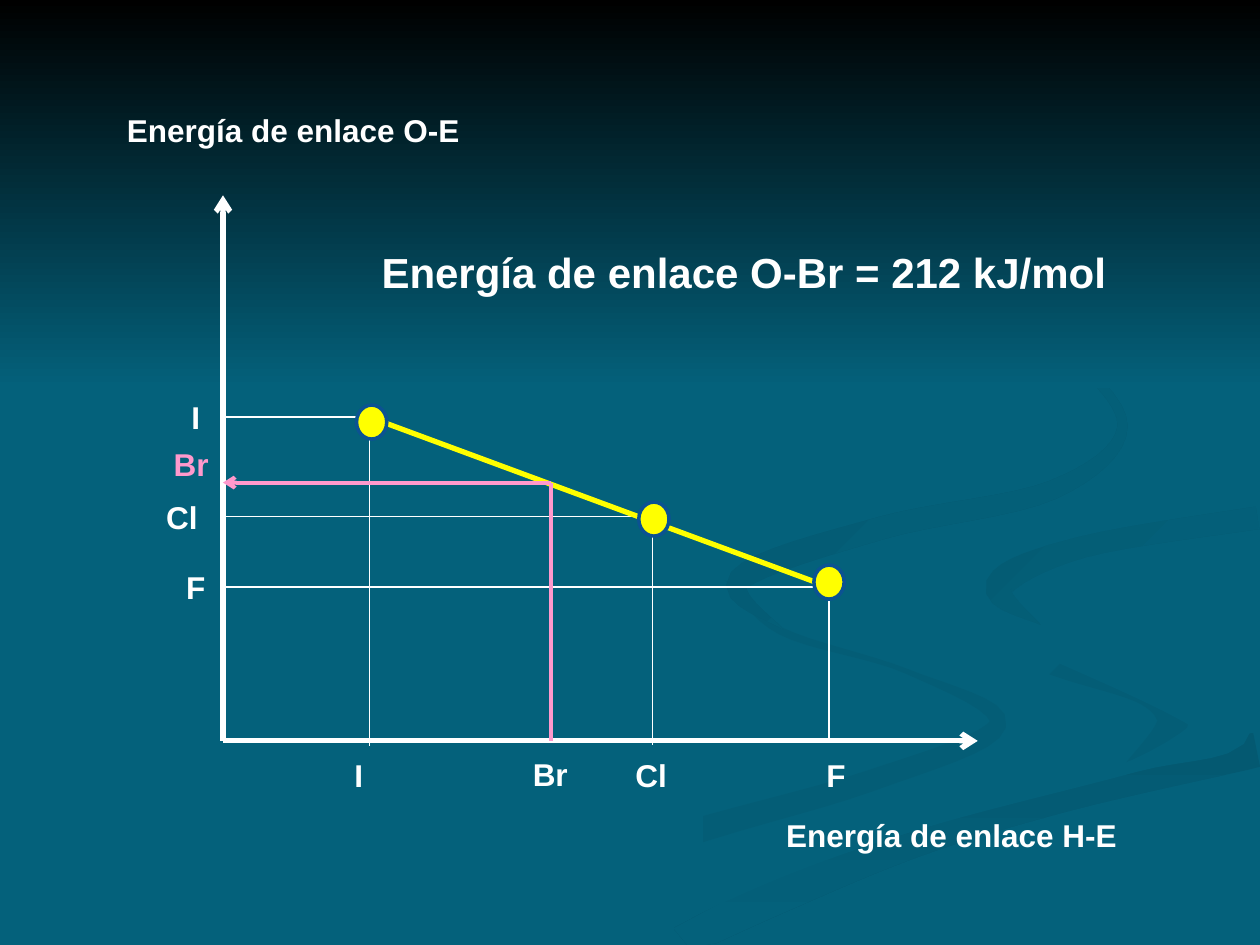
from dataclasses import dataclass
from math import hypot

from lxml.etree import SubElement
from pptx import Presentation
from pptx.dml.color import RGBColor
from pptx.enum.shapes import MSO_CONNECTOR, MSO_SHAPE
from pptx.enum.text import MSO_AUTO_SIZE
from pptx.oxml.ns import qn
from pptx.util import Inches, Pt


@dataclass(frozen=True)
class Theme:
    """Colours, font and type sizes of the slide."""
    sea: str = "04617B"
    night: str = "000000"
    white: str = "FFFFFF"
    yellow: str = "FFFF00"
    pink: str = "FF99CC"
    rim: str = "0B5292"
    font: str = "Arial"
    label: int = 18
    result: int = 24


@dataclass(frozen=True)
class Ribbon:
    """A curved band: (x, y, thickness) knots along its middle, and its gradient."""
    knots: tuple
    start: str
    end: str
    angle: int = 45


@dataclass(frozen=True)
class Halogen:
    """A known element: its point, marker centre, guide foot and label places."""
    symbol: str
    point: tuple
    marker: tuple
    foot: float
    side_left: float
    width: float


THEME = Theme()
SLIDE_WIDTH, SLIDE_HEIGHT = 10, 7.5
SHADE_HEIGHT = 3.08
ORIGIN_X, ORIGIN_Y = 1.77, 5.88
ORIGIN = (ORIGIN_X, ORIGIN_Y)
AXIS_LABEL_TOP = 5.95
BROMINE = (4.37, 3.83)
CURVE_STEPS = 8

HALOGENS = [
    Halogen("I", (2.93, 3.31), (2.95, 3.35), 5.92, 1.42, 0.43),
    Halogen("Cl", (5.18, 4.1), (5.19, 4.12), 5.91, 1.22, 0.47),
    Halogen("F", (6.58, 4.66), (6.58, 4.62), ORIGIN_Y, 1.38, 0.24),
]

RIBBONS = {
    "lower swirl": Ribbon(
        ((3.25, 7.5, 0.4), (5.15, 6.72, 0.22), (6.9, 6.2, 0.17), (7.92, 5.75, 0.14),
         (7.2, 5.33, 0.04), (6.2, 5.01, 0.06), (5.75, 4.6, 0)),
        THEME.sea, "045D76", 0),
    "right swirl": Ribbon(
        ((7.24, 4.64, 0), (7.45, 4.95, 0.1), (8.35, 5.28, 0.15), (9.1, 5.5, 0.2),
         (9.3, 5.75, 0.25), (8.94, 6.05, 0)),
        THEME.sea, "045D76"),
    "corner band": Ribbon(
        ((9.98, 5.95, 0.28), (8.5, 6.33, 0.2), (7.3, 6.69, 0.2), (6.2, 7.1, 0.28),
         (5.4, 7.48, 0.25)),
        "045971", THEME.sea, 90),
    "middle band": Ribbon(
        ((9.99, 3.94, 0.15), (8.6, 4.17, 0.17), (7.54, 4.62, 0.55), (8.3, 5.08, 0.25),
         (9.71, 5.65, 0.5), (9, 6.08, 0.1), (7.4, 6.49, 0.12), (6.2, 6.9, 0.12),
         (4.9, 7.49, 0.12)),
        THEME.sea, THEME.sea),
    "right hook": Ribbon(
        ((9.98, 4.11, 0.18), (8.6, 4.34, 0.17), (7.93, 4.65, 0.22), (8.26, 4.96, 0)),
        "045C74", THEME.sea),
    "upper swirl": Ribbon(
        ((7.63, 2.33, 0), (8.4, 2.75, 0.06), (8.91, 3.38, 0.08), (8.35, 3.89, 0.15),
         (7, 4.19, 0.18), (5.87, 4.6, 0.18), (6.22, 5, 0)),
        "045A72", THEME.sea),
}


def rgb(color):
    """Return a hex colour as an RGBColor."""
    return RGBColor.from_string(color)


def smooth_curve(knots):
    """Return samples of the Catmull-Rom curve through the knots."""
    padded = [knots[0], *knots, knots[-1]]
    samples = []
    for quad in zip(padded, padded[1:], padded[2:], padded[3:]):
        for step in range(CURVE_STEPS):
            t = step / CURVE_STEPS
            samples.append(tuple(
                b + t * (c - a + t * (2 * a - 5 * b + 4 * c - d
                                      + t * (3 * b - a - 3 * c + d))) / 2
                for a, b, c, d in zip(*quad)))
    return [*samples, knots[-1]]


def ribbon_outline(knots):
    """Return the band's outline, offset both ways from its middle, kept on the slide."""
    samples = smooth_curve(knots)
    near, far = [], []
    for before, (x, y, thickness), after in zip(
            [samples[0], *samples], samples, [*samples[1:], samples[-1]]):
        run, rise = after[0] - before[0], after[1] - before[1]
        reach = thickness / 2 / hypot(run, rise)
        for edge, side in ((near, reach), (far, -reach)):
            edge.append((min(x - side * rise, SLIDE_WIDTH),
                         min(y + side * run, SLIDE_HEIGHT)))
    return near + far[::-1]


def add_shade(slide, outline, start, end, angle):
    """Add a closed outline filled with a two-colour gradient."""
    corners = [(Inches(x), Inches(y)) for x, y in outline]
    builder = slide.shapes.build_freeform(*corners[0])
    builder.add_line_segments(corners[1:], close=True)
    shade = builder.convert_to_shape()
    shade.shadow.inherit = False
    shade.line.fill.background()
    shade.fill.gradient()
    shade.fill.gradient_angle = 360 - angle
    for stop, position, color in zip(shade.fill.gradient_stops, (0, 1), (start, end)):
        stop.position = position
        stop.color.rgb = rgb(color)


def add_line(slide, start, end, color, width, arrow=False):
    """Add a straight line, with an open arrowhead at its end if wanted."""
    ends = [Inches(length) for length in (*start, *end)]
    line = slide.shapes.add_connector(MSO_CONNECTOR.STRAIGHT, *ends)
    line.line.color.rgb = rgb(color)
    line.line.width = Pt(width)
    if arrow:
        SubElement(line.line._get_or_add_ln(), qn("a:tailEnd"), type="arrow")
    SubElement(line._element.spPr, qn("a:effectLst"))


def add_label(slide, text, left, top, width, color=THEME.white,
              size=THEME.label, height=0.4, wrap=True):
    """Add a bold line of text."""
    box = slide.shapes.add_textbox(*map(Inches, (left, top, width, height)))
    box.text_frame.word_wrap = wrap
    box.text_frame.auto_size = MSO_AUTO_SIZE.SHAPE_TO_FIT_TEXT
    run = box.text_frame.paragraphs[0].add_run()
    run.text = text
    for name, value in {"name": THEME.font, "size": Pt(size), "bold": True}.items():
        setattr(run.font, name, value)
    run.font.color.rgb = rgb(color)


def add_marker(slide, center, width=0.24, height=0.27):
    """Add a rimmed data point around its centre."""
    x, y = center
    marker = slide.shapes.add_shape(
        MSO_SHAPE.FLOWCHART_CONNECTOR,
        *map(Inches, (x - width / 2, y - height / 2, width, height)))
    marker.shadow.inherit = False
    marker.fill.solid()
    marker.fill.fore_color.rgb = rgb(THEME.yellow)
    marker.line.color.rgb = rgb(THEME.rim)
    marker.line.width = Pt(2)


def add_backdrop(slide):
    """Add the sea colour, the ribbons and the dark shade at the top."""
    slide.background.fill.solid()
    slide.background.fill.fore_color.rgb = rgb(THEME.sea)
    for ribbon in RIBBONS.values():
        add_shade(slide, ribbon_outline(ribbon.knots), ribbon.start, ribbon.end, ribbon.angle)
    top = [(0, 0), (0, SHADE_HEIGHT), (SLIDE_WIDTH, SHADE_HEIGHT), (SLIDE_WIDTH, 0)]
    add_shade(slide, top, THEME.night, THEME.sea, 90)


def add_axes(slide):
    """Add both axes with their titles."""
    for tip in ((ORIGIN_X, 1.55), (7.76, ORIGIN_Y)):
        add_line(slide, ORIGIN, tip, THEME.white, 3, arrow=True)
    add_label(slide, "Energía de enlace O-E", 0.91, 0.83, 2.94, wrap=False)
    add_label(slide, "Energía de enlace H-E", 6.14, 6.43, 2.92, wrap=False)


def add_halogen(slide, halogen):
    """Add an element's two axis labels and its two guide lines."""
    x, y = halogen.point
    add_label(slide, halogen.symbol, halogen.side_left, y - 0.2, halogen.width)
    add_label(slide, halogen.symbol, x - halogen.width / 2, AXIS_LABEL_TOP, halogen.width)
    for start in ((ORIGIN_X, y), (x, halogen.foot)):
        add_line(slide, start, halogen.point, THEME.white, 0.75)


def add_bromine(slide):
    """Add the labels and the path that read bromine off the trend line."""
    x, y = BROMINE
    add_label(slide, "Br", 1.28, y - 0.35, 0.65, THEME.pink)
    add_label(slide, "Br", 4.13, AXIS_LABEL_TOP - 0.01, 0.62)
    add_line(slide, (x, ORIGIN_Y), BROMINE, THEME.pink, 2.25)
    add_line(slide, BROMINE, (ORIGIN_X, y), THEME.pink, 2.25, arrow=True)


def main():
    """Build the bond energy slide and save it."""
    deck = Presentation()
    deck.slide_width, deck.slide_height = Inches(SLIDE_WIDTH), Inches(SLIDE_HEIGHT)
    slide = deck.slides.add_slide(deck.slide_layouts[6])
    add_backdrop(slide)
    add_axes(slide)
    for halogen in HALOGENS:
        add_halogen(slide, halogen)
    add_line(slide, HALOGENS[0].point, HALOGENS[-1].point, THEME.yellow, 3)
    add_label(slide, "Energía de enlace O-Br = 212 kJ/mol", 2.93, 1.91, 6.4,
              size=THEME.result, height=0.5)
    add_bromine(slide)
    for halogen in HALOGENS:
        add_marker(slide, halogen.marker)
    deck.save("out.pptx")


if __name__ == "__main__":
    main()
